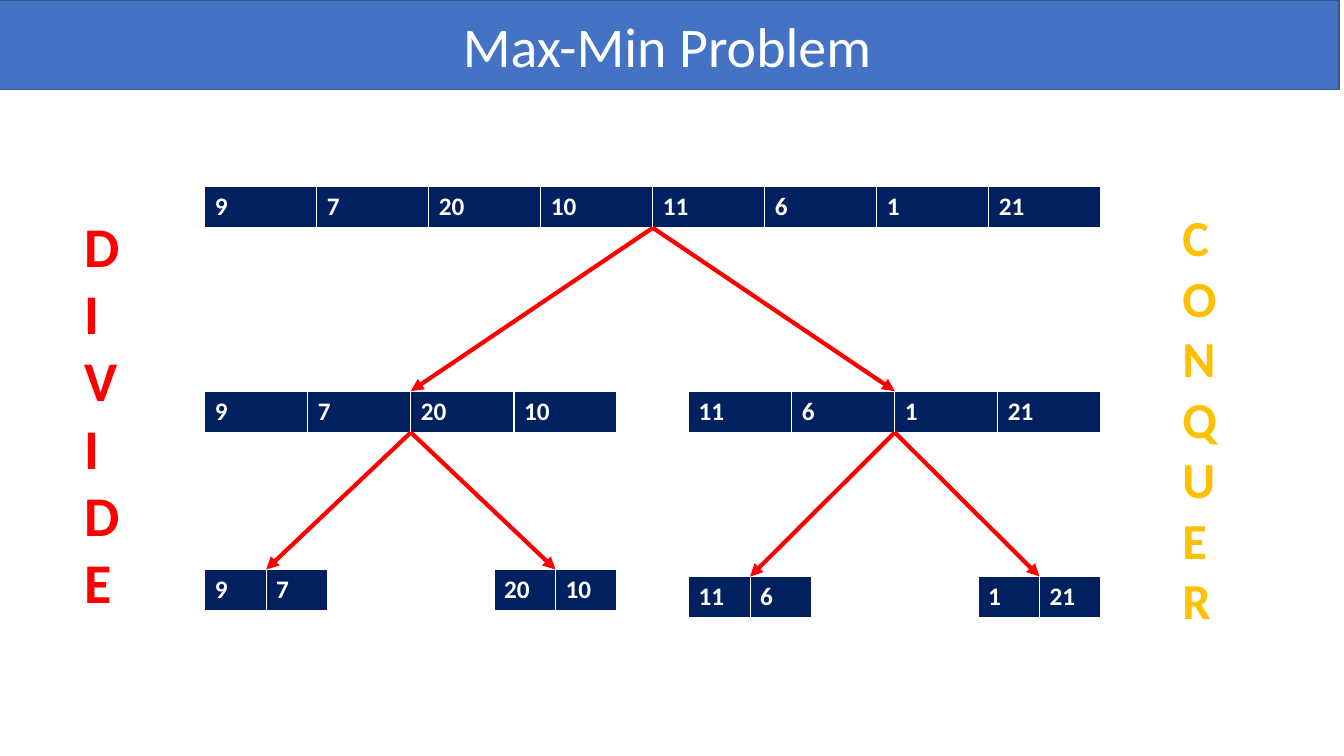
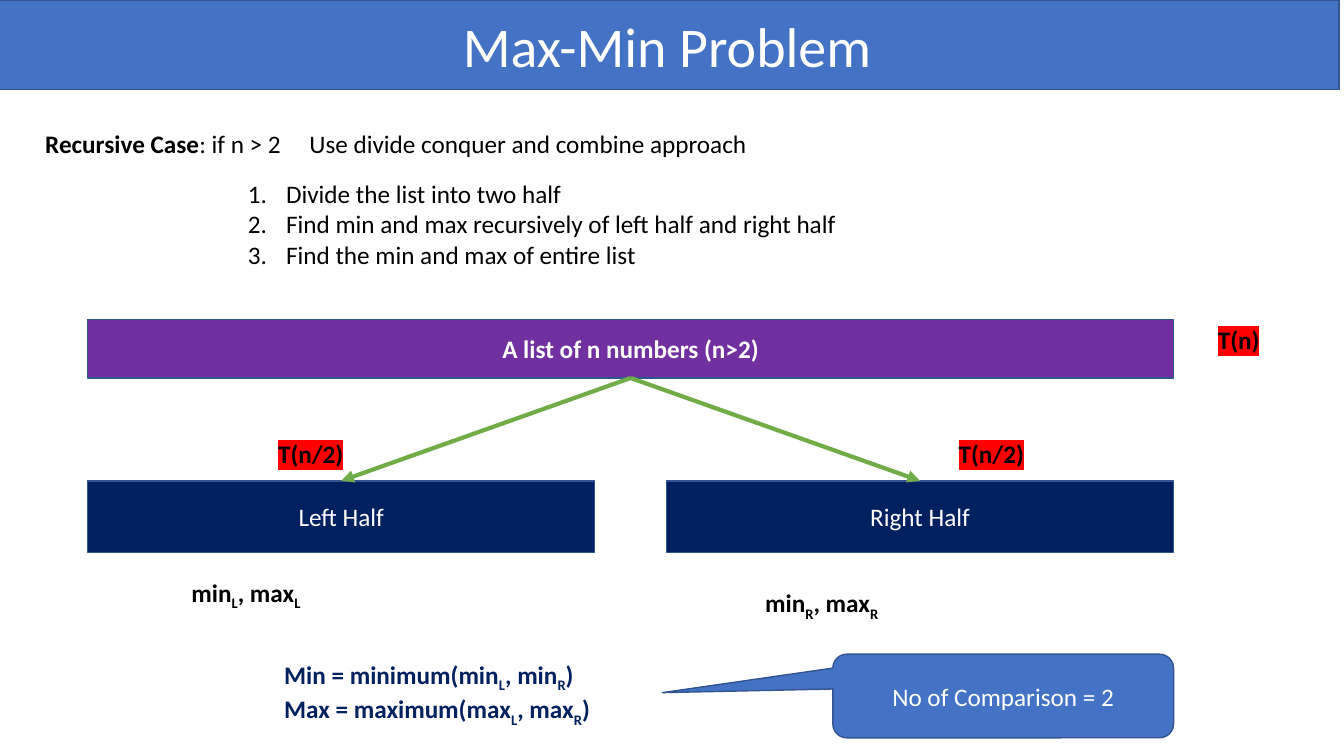
from dataclasses import dataclass

from lxml.etree import SubElement
from pptx import Presentation
from pptx.dml.color import RGBColor
from pptx.enum.shapes import MSO_CONNECTOR, MSO_SHAPE
from pptx.enum.text import MSO_ANCHOR, MSO_AUTO_SIZE, PP_ALIGN
from pptx.oxml.ns import qn
from pptx.util import Inches, Pt


@dataclass(frozen=True)
class Theme:
    font: str = "Calibri"
    blue: str = "4472C4"
    outline: str = "325491"
    navy: str = "002060"
    purple: str = "7030A0"
    red: str = "FF0000"
    gold: str = "FFC000"
    green: str = "70AD47"
    white: str = "FFFFFF"
    black: str = "000000"
    title: int = 40
    letters: int = 36
    body: int = 18
    arrow: int = 3
    border: int = 1


THEME = Theme()
TITLE = "Max-Min Problem"
TITLE_BAND = (-0.05, 0, 13.33, 0.89)

NUMBERS = [9, 7, 20, 10, 11, 6, 1, 21]
TREE_LEFT, TREE_RIGHT = 2.03, 10.92
ROW_HEIGHT = 0.41
LEVEL_WIDTHS = [8.89, 4.09, 1.22]
LEVEL_TOPS = {"left": [1.85, 3.88, 5.65], "right": [1.85, 3.88, 5.72]}
SIDE_WORDS = [
    ("DIVIDE", (0.74, 2.05, 0.68, 4.14), THEME.title, THEME.red),
    ("CONQUER", (11.63, 2, 0.94, 4.34), THEME.letters, THEME.gold),
]

SUB = {"baseline": -25}
BOLD = {"bold": True}
RECURSIVE_CASE = [[("Recursive Case", BOLD), ": if n > 2\tUse divide conquer and combine approach"]]
STEPS = [
    "Divide the list into two half",
    "Find min and max recursively of left half and right half",
    "Find the min and max of entire list",
]
WHOLE_LIST = ("A list of n numbers (n>2)", (0.87, 3.17, 10.77, 0.58))
HALVES = [
    ("Left Half", (0.87, 4.77, 5.03, 0.71)),
    ("Right Half", (6.61, 4.77, 5.03, 0.71)),
]
HALF_RESULTS = [("L", (1.8, 5.68, 2.75, 0.4)), ("R", (7.49, 5.78, 3.38, 0.4))]
COMBINED = [("Min", "minimum", "min"), ("Max", "maximum", "max")]
COSTS = [
    ("T(n)", (11.98, 3.17, 1.08, 0.4)),
    ("T(n/2)", (2.66, 4.3, 1.08, 0.4)),
    ("T(n/2)", (9.41, 4.3, 1.08, 0.4)),
]
COMPARISONS = ("No of Comparison = 2", (8.26, 6.49, 3.38, 0.83))
CALLOUT_TIP = (-1, -0.04, 0.167)


def color(value):
    return RGBColor.from_string(value)


def place(box):
    return [Inches(value) for value in box]


def format_run(run, size, ink, bold=False, baseline=None, highlight=None):
    run.font.size = Pt(size)
    run.font.bold = bold
    run.font.color.rgb = color(ink)
    properties = run.font._element if hasattr(run.font, "_element") else run._r.get_or_add_rPr()
    if baseline:
        properties.set("baseline", str(baseline * 1000))
    if highlight:
        marker = SubElement(properties, qn("a:highlight"))
        SubElement(marker, qn("a:srgbClr"), val=highlight)
    run.font.name = THEME.font


def write(frame, paragraphs, size=THEME.body, ink=THEME.black, align=None,
          numbered=False, tab=None, **style):
    for index, runs in enumerate(paragraphs):
        paragraph = frame.paragraphs[0] if index == 0 else frame.add_paragraph()
        properties = paragraph._p.get_or_add_pPr()
        if numbered:
            properties.set("marL", str(Inches(0.38)))
            properties.set("indent", str(-Inches(0.38)))
            SubElement(properties, qn("a:buAutoNum"), type="arabicPeriod")
        if tab:
            stops = SubElement(properties, qn("a:tabLst"))
            SubElement(stops, qn("a:tab"), pos=str(Inches(tab)), algn="l")
        if align is not None:
            paragraph.alignment = align
        for part in [runs] if isinstance(runs, str) else runs:
            text, extra = (part, {}) if isinstance(part, str) else part
            run = paragraph.add_run()
            run.text = text
            format_run(run, size, ink, **{**style, **extra})


def add_text(slide, box, paragraphs, **style):
    frame = slide.shapes.add_textbox(*place(box)).text_frame
    frame.word_wrap = True
    write(frame, paragraphs, **style)


def paint(shape, fill):
    shape.fill.solid()
    shape.fill.fore_color.rgb = color(fill)
    shape.line.color.rgb = color(THEME.outline)
    shape.line.width = Pt(THEME.border)


def add_box(slide, text, box, fill, kind=MSO_SHAPE.RECTANGLE, **style):
    shape = slide.shapes.add_shape(kind, *place(box))
    shape.shadow.inherit = False
    paint(shape, fill)
    shape.text_frame.vertical_anchor = MSO_ANCHOR.MIDDLE
    write(shape.text_frame, [text], ink=THEME.white, align=PP_ALIGN.CENTER, **style)
    return shape


def add_arrow(slide, start, end, ink):
    arrow = slide.shapes.add_connector(MSO_CONNECTOR.STRAIGHT, *place(start + end))
    arrow.line.color.rgb = color(ink)
    arrow.line.width = Pt(THEME.arrow)
    SubElement(arrow.line._get_or_add_ln(), qn("a:tailEnd"), type="triangle")
    SubElement(arrow._element.spPr, qn("a:effectLst"))
    return arrow


def add_titled_slide(presentation):
    slide = presentation.slides.add_slide(presentation.slide_layouts[5])
    title = slide.shapes.title
    title.left, title.top, title.width, title.height = place(TITLE_BAND)
    paint(title, THEME.blue)
    title.text_frame.auto_size = MSO_AUTO_SIZE.NONE
    title.text_frame.vertical_anchor = MSO_ANCHOR.MIDDLE
    write(title.text_frame, [TITLE], size=THEME.title, ink=THEME.white, align=PP_ALIGN.CENTER)
    return slide


def add_number_row(slide, numbers, left, top, width):
    table = slide.shapes.add_table(
        1, len(numbers), *place((left, top, width, ROW_HEIGHT))).table
    table.horz_banding = False
    for index, number in enumerate(numbers):
        table.columns[index].width = Inches(width / len(numbers))
        cell = table.cell(0, index)
        cell.fill.solid()
        cell.fill.fore_color.rgb = color(THEME.navy)
        write(cell.text_frame, [str(number)], ink=THEME.white, bold=True)


def add_tree(slide, numbers, left, level=0, side="left"):
    width, top = LEVEL_WIDTHS[level], LEVEL_TOPS[side][level]
    add_number_row(slide, numbers, left, top, width)
    if level + 1 == len(LEVEL_WIDTHS):
        return
    middle = len(numbers) // 2
    child_width = LEVEL_WIDTHS[level + 1]
    children = [
        ("left", numbers[:middle], left),
        ("right", numbers[middle:], left + width - child_width),
    ]
    for child_side, half, child_left in children:
        branch = child_side if level == 0 else side
        add_tree(slide, half, child_left, level + 1, branch)
        start = (left + width / 2, top + ROW_HEIGHT)
        end = (child_left + child_width / 2, LEVEL_TOPS[branch][level + 1])
        add_arrow(slide, start, end, THEME.red)


def build_tree_slide(presentation):
    slide = add_titled_slide(presentation)
    add_tree(slide, NUMBERS, TREE_LEFT)
    for word, box, size, ink in SIDE_WORDS:
        add_text(slide, box, list(word), size=size, ink=ink, bold=True)


def build_recursion_slide(presentation):
    slide = add_titled_slide(presentation)
    add_text(slide, (0.35, 1.22, 10.28, 0.4), RECURSIVE_CASE, tab=2.62)
    add_text(slide, (2.36, 1.72, 8.04, 1.01), STEPS, numbered=True)

    whole = add_box(slide, *WHOLE_LIST, THEME.purple, bold=True)
    for text, box in HALVES:
        half = add_box(slide, text, box, THEME.navy)
        arrow = add_arrow(slide, (0, 0), (1, 1), THEME.green)
        arrow.begin_connect(whole, 2)
        arrow.end_connect(half, 0)

    for side, box in HALF_RESULTS:
        add_text(slide, box, [["min", (side, SUB), ", max", (side, SUB)]], bold=True)
    formulas = [
        [f"{name} = {function}({value}", ("L", SUB), f", {value}", ("R", SUB), ")"]
        for name, function, value in COMBINED
    ]
    add_text(slide, (2.72, 6.49, 4.51, 0.71), formulas, ink=THEME.navy, bold=True)

    callout = add_box(slide, *COMPARISONS, THEME.blue, MSO_SHAPE.ROUNDED_RECTANGULAR_CALLOUT)
    for index, value in enumerate(CALLOUT_TIP):
        callout.adjustments[index] = value
    for text, box in COSTS:
        add_text(slide, box, [text], bold=True, highlight=THEME.red)


def main():
    presentation = Presentation()
    presentation.slide_width, presentation.slide_height = Inches(13.33), Inches(7.5)
    build_tree_slide(presentation)
    build_recursion_slide(presentation)
    presentation.save("out.pptx")


if __name__ == "__main__":
    main()
